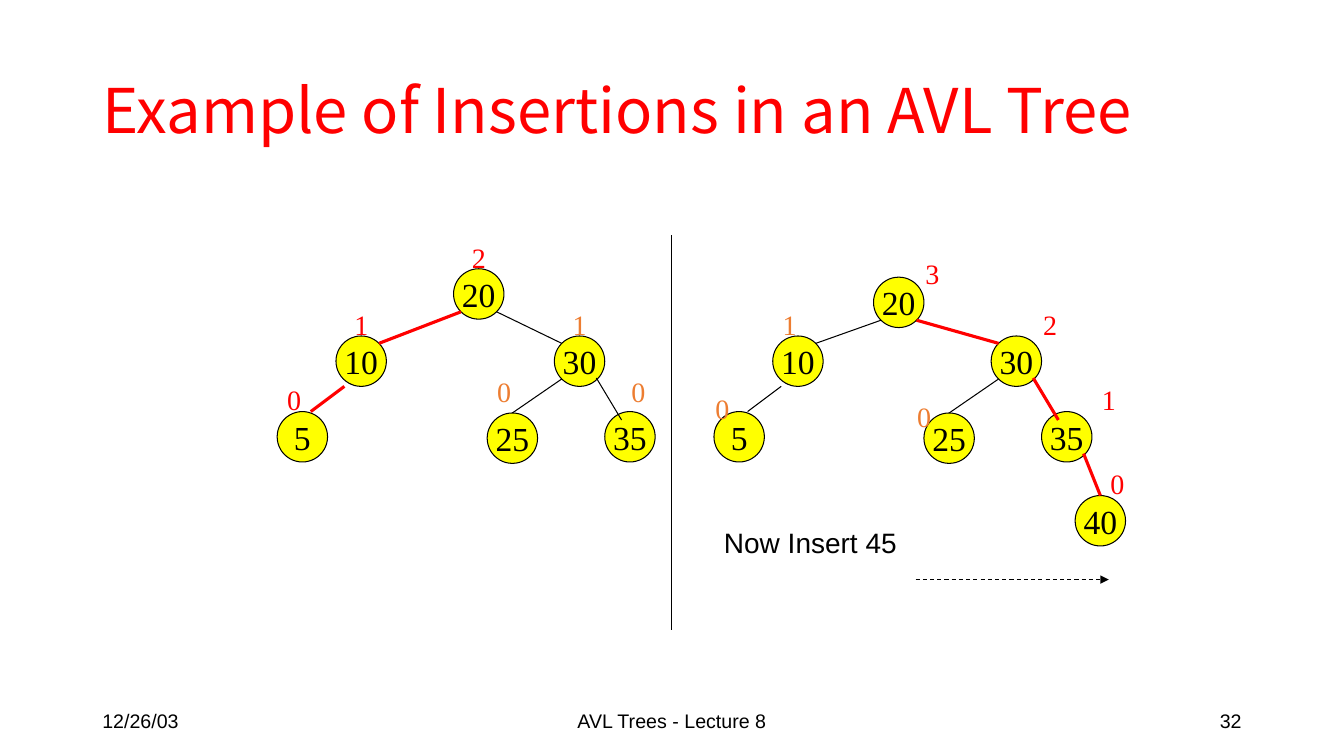
import math

import pptx
import pptx.dml.color
import pptx.enum.dml
import pptx.enum.shapes
import pptx.enum.text
import pptx.oxml.ns
import pptx.util
from lxml import etree

Pt = pptx.util.Pt
ALIGN = pptx.enum.text.PP_ALIGN
MIDDLE = pptx.enum.text.MSO_ANCHOR.MIDDLE
BLACK, RED, ORANGE, YELLOW = "000000", "FF0000", "ED7D31", "FFFF00"
SERIF, SANS, TITLE_FONT = "Times New Roman", "Arial", "Noto Sans CJK KR"

NODE = 36
NEAR = NODE / 2 * (1 - math.sqrt(0.5))
FAR = NODE - NEAR

# Node corners relative to the tree's box; the root differs between trees.
NODES = {"10": (42, 72), "30": (198, 72), "5": (0, 126),
         "25": (150, 127), "35": (234, 126), "40": (258, 186)}

# (parent, child): start inside the parent's box, end inside the child's box
EDGES = {
    ("20", "10"): ((NEAR, FAR), (FAR, NEAR)),
    ("20", "30"): ((FAR, FAR), (NEAR, NEAR)),
    ("10", "5"): ((6, 36), (24, 0)),
    ("30", "25"): ((NEAR, FAR), (18, 0)),
    ("30", "35"): ((30, 30), (12, 6)),
    ("35", "40"): ((30, 30), (18, 0)),
}

# Node: its height and the offset of that label from the node
HEIGHTS_BEFORE = {
    "20": ("2", 6, -24), "10": ("1", 6, -24), "30": ("1", 6, -24),
    "5": ("0", 0, -24), "25": ("0", 0, -31), "35": ("0", 12, -30),
}
HEIGHTS_AFTER = {
    "20": ("3", 30, -18), "10": ("1", 0, -24), "30": ("2", 30, -24),
    "5": ("0", -6, -18), "25": ("0", -12, -13), "35": ("1", 36, -24),
    "40": ("0", 18, -24),
}


def rgb(value):
    return pptx.dml.color.RGBColor.from_string(value)


def write(s, text, size, font, color, align=ALIGN.LEFT, wrap=True):
    tf = s.text_frame
    tf.word_wrap = wrap
    p = tf.paragraphs[0]
    p.text = text
    p.alignment = align
    p.font.size = Pt(size)
    p.font.name = font
    p.font.color.rgb = rgb(color)
    return tf


def add_text(slide, box, text, size, font, color, **options):
    s = slide.shapes.add_textbox(*map(Pt, box))
    return write(s, text, size, font, color, **options)


def add_line(slide, start, end, color=BLACK, width=0.75):
    s = slide.shapes.add_connector(
        pptx.enum.shapes.MSO_CONNECTOR.STRAIGHT, *map(Pt, (*start, *end)))
    s.line.color.rgb = rgb(color)
    s.line.width = Pt(width)
    etree.SubElement(s._element.spPr, pptx.oxml.ns.qn("a:effectLst"))
    return s


def add_node(slide, x, y, key):
    s = slide.shapes.add_shape(pptx.enum.shapes.MSO_SHAPE.OVAL,
                               Pt(x), Pt(y), Pt(NODE), Pt(NODE))
    s.shadow.inherit = False
    s.fill.solid()
    s.fill.fore_color.rgb = rgb(YELLOW)
    s.line.color.rgb = rgb(BLACK)
    s.line.width = Pt(0.75)
    tf = write(s, key, 24, SERIF, BLACK, ALIGN.CENTER, wrap=False)
    tf.vertical_anchor = MIDDLE


def add_tree(slide, left, top, root, heights, path_keys):
    """Draw a tree with node heights; path_keys marks the red path."""
    offsets = {**NODES, "20": root}
    corners = {key: (left + offsets[key][0], top + offsets[key][1])
               for key in heights}
    for key, (x, y) in corners.items():
        add_node(slide, x, y, key)
    for (parent, child), (start, end) in EDGES.items():
        if child not in corners:
            continue
        on_path = parent in path_keys and child in path_keys
        (px, py), (cx, cy) = corners[parent], corners[child]
        add_line(slide, (px + start[0], py + start[1]),
                 (cx + end[0], cy + end[1]),
                 RED if on_path else BLACK, 2.25 if on_path else 0.75)
    for key, (height, dx, dy) in heights.items():
        x, y = corners[key]
        add_text(slide, (x + dx, y + dy, 24.5, 31), height, 20, SERIF,
                 RED if key in path_keys else ORANGE, wrap=False)


def add_title(slide, box):
    tf = add_text(slide, box, "Example of Insertions in an AVL Tree",
                  44, TITLE_FONT, RED)
    tf.vertical_anchor = MIDDLE
    tf.paragraphs[0].line_spacing = 0.9


def add_next_step(slide, left, top):
    """Caption and dashed arrow to the next insertion."""
    add_text(slide, (left, top, 138, 31), "Now Insert 45", 20, SANS, BLACK)
    arrow = add_line(slide, (left + 144, top + 42), (left + 282, top + 42))
    arrow.line.dash_style = pptx.enum.dml.MSO_LINE.DASH
    etree.SubElement(arrow.line._get_or_add_ln(),
                     pptx.oxml.ns.qn("a:tailEnd"), type="triangle")


def add_footer(slide, left, top, width, height):
    side, middle = 216, 324
    for x, w, text, align in (
            (left, side, "12/26/03", ALIGN.LEFT),
            (left + (width - middle) / 2, middle, "AVL Trees - Lecture 8",
             ALIGN.CENTER),
            (left + width - side, side, "32", ALIGN.RIGHT)):
        tf = add_text(slide, (x, top, w, height), text, 14, SANS, BLACK,
                      align=align)
        tf.vertical_anchor = MIDDLE


def main():
    prs = pptx.Presentation()
    prs.slide_width, prs.slide_height = Pt(960), Pt(540)
    slide = prs.slides.add_slide(prs.slide_layouts[6])
    add_title(slide, (66, 28.75, 828, 104.4))
    add_tree(slide, 198, 168, (126, 24), HEIGHTS_BEFORE, ("20", "10", "5"))
    add_tree(slide, 510, 168, (114, 30), HEIGHTS_AFTER,
             ("20", "30", "35", "40"))
    add_line(slide, (480, 168), (480, 450))
    add_next_step(slide, 510, 372)
    add_footer(slide, 66, 500.5, 828, 28.75)
    prs.save("out.pptx")


if __name__ == "__main__":
    main()
